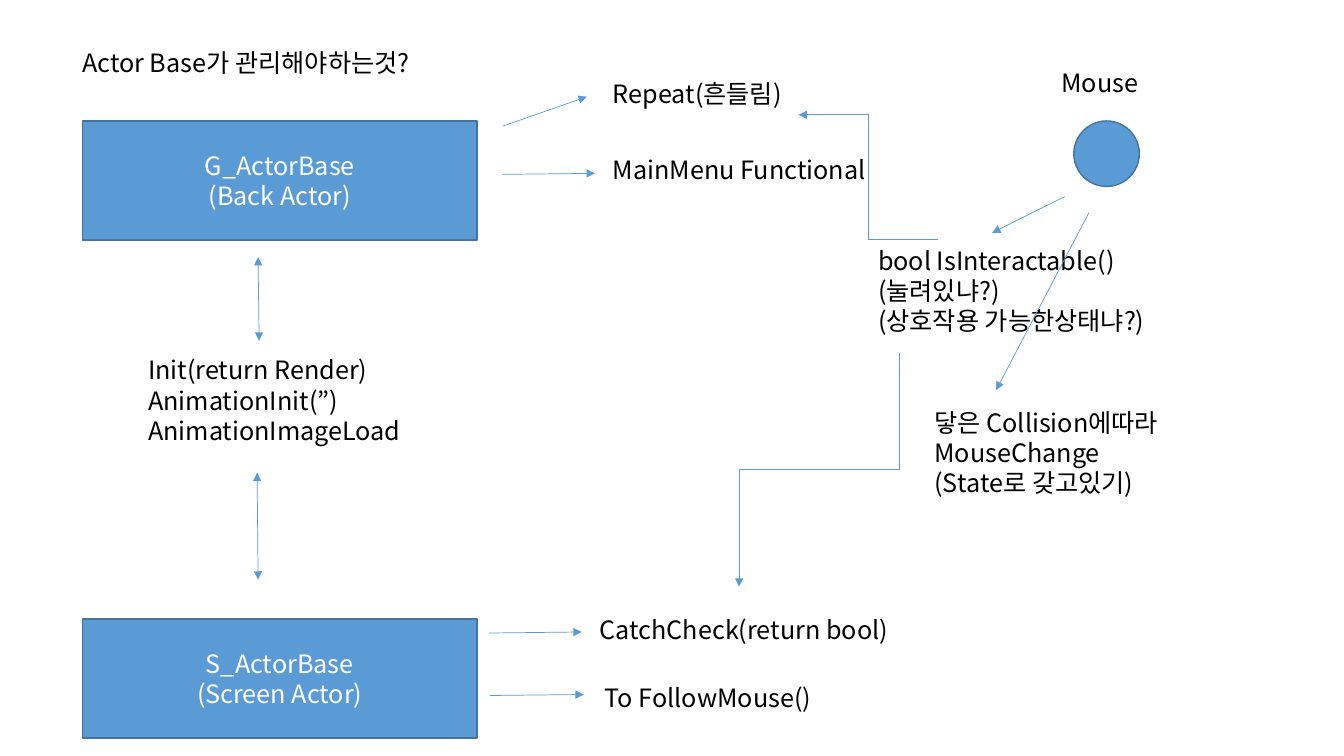
from lxml.etree import SubElement
from pptx import Presentation
from pptx.dml.color import RGBColor
from pptx.enum.shapes import MSO_CONNECTOR, MSO_SHAPE
from pptx.enum.text import MSO_ANCHOR, PP_ALIGN
from pptx.oxml.ns import qn
from pptx.util import Pt

PX = 9144
SLIDE_SIZE = (1333, 750)
FONT = "Noto Sans CJK KR"
FONT_SIZE = Pt(18)
BLUE = RGBColor(0x5B, 0x9B, 0xD5)
DARK_BLUE = RGBColor(0x43, 0x73, 0x9E)
BLACK = RGBColor(0, 0, 0)
WHITE = RGBColor(255, 255, 255)

TITLE = ((66, 42, 555, 40), [" Actor Base가 관리해야하는것?"])
NODES = [
    (MSO_SHAPE.RECTANGLE, (82, 120, 391, 118), ["G_ActorBase", "(Back Actor)"]),
    (MSO_SHAPE.RECTANGLE, (82, 614, 391, 118), ["S_ActorBase", "(Screen Actor)"]),
    (MSO_SHAPE.OVAL, (1065, 120, 65, 65), []),
]
LABELS = [
    ((598, 73, 282, 40), ["Repeat(흔들림)"]),
    ((598, 148, 282, 40), ["MainMenu Functional"]),
    ((137, 347, 282, 101), ["Init(return Render)", "AnimationInit(”)", "AnimationImageLoad"]),
    ((585, 605, 307, 40), ["CatchCheck(return bool)"]),
    ((590, 672, 307, 40), ["To FollowMouse()"]),
    ((1043, 62, 282, 40), ["Mouse"]),
    ((861, 238, 302, 101), ["bool IsInteractable()", "(눌려있냐?)", "(상호작용 가능한상태냐?)"]),
    ((917, 399, 302, 101), ["닿은 Collision에따라", "MouseChange", "(State로 갖고있기)"]),
]
ARROWS = [
    ((499, 125), (582, 96)),
    ((498, 173), (590, 172)),
    ((485, 628), (577, 627)),
    ((486, 690), (579, 689)),
    ((1056, 195), (984, 231)),
    ((1080, 211), (988, 387)),
]
DOUBLE_ARROWS = [((256, 255), (257, 338)), ((255, 469), (256, 575))]
REPEAT_ELBOW = ((930, 238), (792, 114))
CATCH_ELBOW = ((892, 350), (733, 582))


def scaled(values):
    """Turn px lengths into EMU."""
    return [round(value * PX) for value in values]


def write_lines(shape, lines, color, align, anchor):
    """Fill a shape with one paragraph per line."""
    frame = shape.text_frame
    frame.word_wrap = True
    frame.vertical_anchor = anchor
    for index, line in enumerate(lines):
        paragraph = frame.add_paragraph() if index else frame.paragraphs[0]
        paragraph.alignment = align
        run = paragraph.add_run()
        run.text = line
        run.font.size = FONT_SIZE
        run.font.name = FONT
        run.font.color.rgb = color
        SubElement(run.font._element, qn("a:ea"), typeface=FONT)


def add_title(slide):
    """Place and format the title placeholder."""
    box, lines = TITLE
    title = slide.shapes.title
    title.left, title.top, title.width, title.height = scaled(box)
    write_lines(title, lines, BLACK, PP_ALIGN.LEFT, MSO_ANCHOR.TOP)


def add_node(slide, kind, box, lines):
    """Draw a filled shape with centred text."""
    node = slide.shapes.add_shape(kind, *scaled(box))
    node.shadow.inherit = False
    node.fill.solid()
    node.fill.fore_color.rgb = BLUE
    node.line.color.rgb = DARK_BLUE
    node.line.width = Pt(1)
    write_lines(node, lines, WHITE, PP_ALIGN.CENTER, MSO_ANCHOR.MIDDLE)


def add_arrow(slide, start, end, kind=MSO_CONNECTOR.STRAIGHT, double=False):
    """Draw a thin connector with one or two arrowheads."""
    arrow = slide.shapes.add_connector(kind, *scaled(start + end))
    arrow.line.color.rgb = BLUE
    arrow.line.width = Pt(0.5)
    properties = arrow._element.spPr
    line = properties.find(qn("a:ln"))
    for tag in ["a:headEnd", "a:tailEnd"] if double else ["a:tailEnd"]:
        SubElement(line, qn(tag), type="triangle")
    SubElement(properties, qn("a:effectLst"))
    return arrow


def add_falling_elbow(slide, start, end):
    """Draw an elbow that leaves downwards, as a level elbow turned by 90 degrees."""
    center_x, center_y = (start[0] + end[0]) / 2, (start[1] + end[1]) / 2
    half_run, half_drop = (start[0] - end[0]) / 2, (end[1] - start[1]) / 2
    elbow = add_arrow(
        slide,
        (center_x - half_drop, center_y - half_run),
        (center_x + half_drop, center_y + half_run),
        MSO_CONNECTOR.ELBOW,
    )
    elbow._element.spPr.find(qn("a:xfrm")).set("rot", str(90 * 60000))


def main():
    """Build the actor diagram slide."""
    presentation = Presentation()
    presentation.slide_width, presentation.slide_height = scaled(SLIDE_SIZE)
    slide = presentation.slides.add_slide(presentation.slide_layouts[5])
    add_title(slide)
    for kind, box, lines in NODES:
        add_node(slide, kind, box, lines)
    for box, lines in LABELS:
        label = slide.shapes.add_textbox(*scaled(box))
        write_lines(label, lines, BLACK, PP_ALIGN.LEFT, MSO_ANCHOR.TOP)
    for start, end in ARROWS:
        add_arrow(slide, start, end)
    for start, end in DOUBLE_ARROWS:
        add_arrow(slide, start, end, double=True)
    add_arrow(slide, *REPEAT_ELBOW, kind=MSO_CONNECTOR.ELBOW)
    add_falling_elbow(slide, *CATCH_ELBOW)
    presentation.save("out.pptx")


if __name__ == "__main__":
    main()
